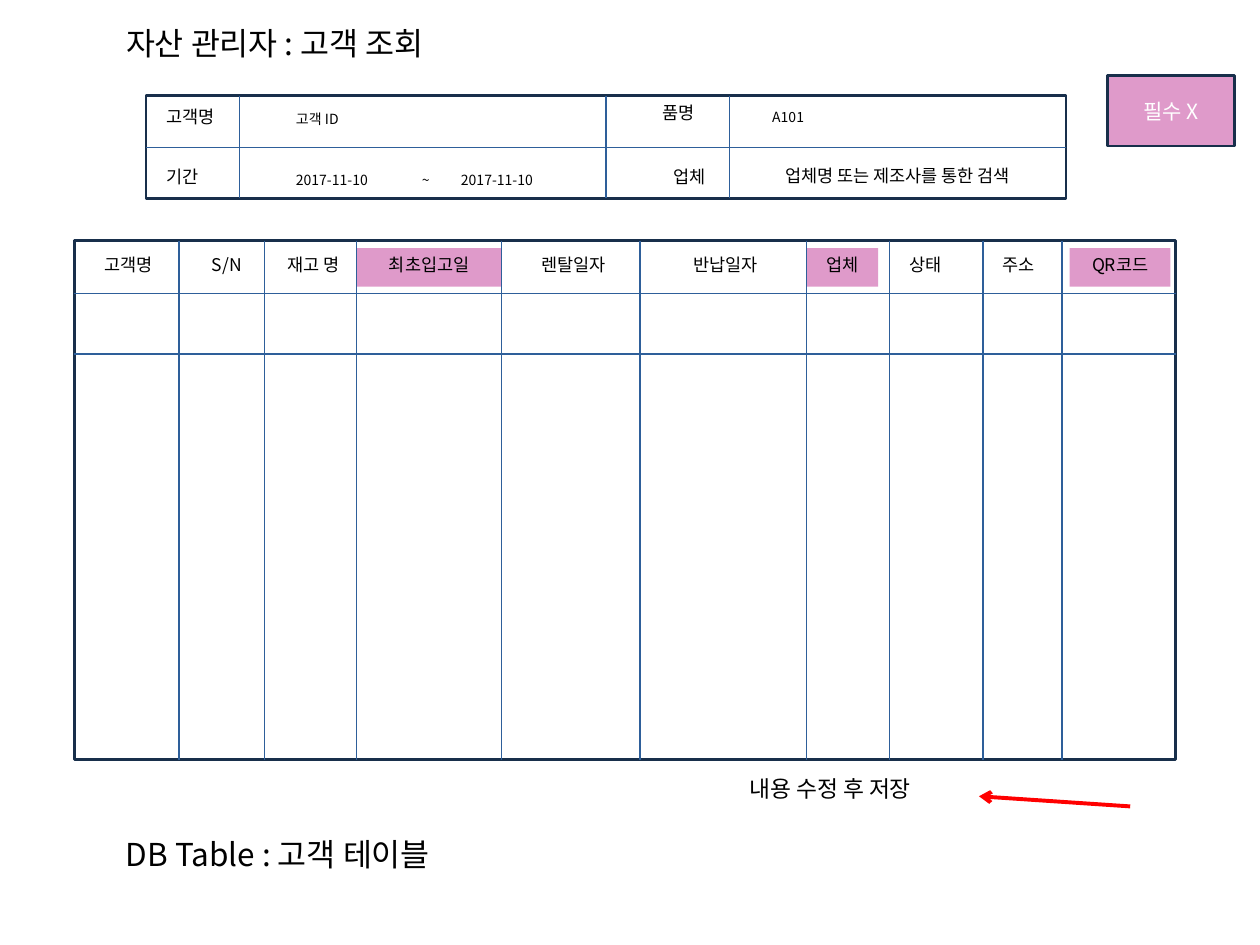
from dataclasses import dataclass

from lxml.etree import SubElement
from pptx import Presentation
from pptx.dml.color import RGBColor as RGB
from pptx.enum.shapes import MSO_CONNECTOR as CONN, MSO_SHAPE as SHAPE
from pptx.enum.text import MSO_ANCHOR as ANCHOR, MSO_AUTO_SIZE as FIT, PP_ALIGN as ALIGN
from pptx.oxml.ns import qn
from pptx.util import Inches, Pt


@dataclass(frozen=True)
class Theme:
    font: str = "Noto Sans CJK KR"
    ink: str = "000000"
    paper: str = "FFFFFF"
    frame: str = "182F4B"
    rule: str = "2E5F9A"
    pink: str = "DF9ACA"
    red: str = "FF0000"
    title: int = 18
    note: int = 13
    badge: int = 12
    label: int = 10
    value: int = 8
    thick: float = 1.5
    thin: float = 1
    arrow: float = 2.25


class Sketch:
    COLS, ROWS = 100, 75

    def __init__(self, prs, theme):
        self.prs, self.theme = prs, theme
        self.s = prs.slides.add_slide(prs.slide_layouts[5])

    def place(self, x, y, *size):
        col = self.prs.slide_width / self.COLS
        row = self.prs.slide_height / self.ROWS
        return [round(v * unit) for v, unit in zip((x, y, *size), (col, row, col, row))]

    def label(self, sp, text, size, align=ALIGN.LEFT, color=None, anchor=ANCHOR.TOP):
        tf = sp.text_frame
        for name, value in {"word_wrap": True, "auto_size": FIT.NONE,
                            "vertical_anchor": anchor}.items():
            setattr(tf, name, value)
        p = tf.paragraphs[0]
        p.alignment = align
        r = p.add_run()
        r.text = text
        for name, value in {"name": self.theme.font, "size": Pt(size)}.items():
            setattr(r.font, name, value)
        r.font.color.rgb = RGB.from_string(color or self.theme.ink)
        SubElement(r._r.rPr, qn("a:ea"), typeface=self.theme.font)

    def title(self, box, text):
        sp = self.s.shapes.title
        for name, value in zip(("left", "top", "width", "height"), self.place(*box)):
            setattr(sp, name, value)
        self.label(sp, text, self.theme.title)

    def text(self, box, text, size, align=ALIGN.LEFT):
        self.label(self.s.shapes.add_textbox(*self.place(*box)), text, size, align)

    def rect(self, box, fill=None, line=None):
        sp = self.s.shapes.add_shape(SHAPE.RECTANGLE, *self.place(*box))
        sp.shadow.inherit = False
        if fill:
            sp.fill.solid()
            sp.fill.fore_color.rgb = RGB.from_string(fill)
        else:
            sp.fill.background()
        if line:
            sp.line.color.rgb = RGB.from_string(line)
            sp.line.width = Pt(self.theme.thick)
        else:
            sp.line.fill.background()
        return sp

    def line(self, start, end, color, width):
        cn = self.s.shapes.add_connector(CONN.STRAIGHT, *self.place(*start), *self.place(*end))
        cn.line.color.rgb = RGB.from_string(color)
        cn.line.width = Pt(width)
        SubElement(cn._element.spPr, qn("a:effectLst"))
        return cn

    def arrow(self, start, end):
        cn = self.line(start, end, self.theme.red, self.theme.arrow)
        SubElement(cn._element.spPr.find(qn("a:ln")), qn("a:tailEnd"), type="arrow")

    def rules(self, box, xs, ys):
        left, top, width, height = box
        ends = [((x, top), (x, top + height)) for x in xs]
        ends += [((left, y), (left + width, y)) for y in ys]
        for start, end in ends:
            self.line(start, end, self.theme.rule, self.theme.thin)

    def header(self, x, width, text, marked):
        box = (x, 19.7, width, 3.05)
        if marked:
            self.label(self.rect(box, fill=self.theme.pink), text, self.theme.label, ALIGN.CENTER)
        else:
            self.text(box, text, self.theme.label, ALIGN.CENTER)


def main():
    prs = Presentation()
    prs.slide_width, prs.slide_height = Inches(10), Inches(7.5)
    t = Theme()
    sk = Sketch(prs, t)
    sk.title((9, 1.4, 91, 4.7), "자산 관리자 : 고객 조회")

    search = (11.6, 7.6, 73, 8.15)
    sk.rect(search, line=t.frame)
    sk.rules(search, (19, 48.1, 57.9), (11.7,))
    for x, y, width, text, size, align in (
        (12.2, 7.9, 8.8, "고객명", t.label, ALIGN.LEFT),
        (22.5, 8.3, 24.8, "고객 ID", t.value, ALIGN.LEFT),
        (51.6, 7.6, 5.7, "품명", t.label, ALIGN.LEFT),
        (60.3, 8.1, 7.5, "A101", t.value, ALIGN.LEFT),
        (12.2, 12.7, 6.8, "기간", t.label, ALIGN.LEFT),
        (22.5, 13.1, 9.6, "2017-11-10", t.value, ALIGN.LEFT),
        (32.5, 13.1, 2.5, "~", t.value, ALIGN.LEFT),
        (35.6, 13.1, 10.1, "2017-11-10", t.value, ALIGN.LEFT),
        (50, 12.7, 9.4, "업체", t.label, ALIGN.CENTER),
        (57.5, 12.6, 27.4, "업체명 또는 제조사를 통한 검색", t.label, ALIGN.CENTER),
    ):
        sk.text((x, y, width, 3), text, size, align)

    results = (5.9, 19.1, 87.4, 41.2)
    sk.rect(results, line=t.frame)
    for x, width, text, marked in (
        (6.2, 8, "고객명", False),
        (14.6, 6.8, "S/N", False),
        (21, 7.7, "재고 명", False),
        (28.3, 11.5, "최초입고일", True),
        (39.8, 11.5, "렌탈일자", False),
        (51.8, 11.5, "반납일자", False),
        (64, 5.7, "업체", True),
        (70.6, 5.7, "상태", False),
        (78, 5.7, "주소", False),
        (84.9, 8, "QR코드", True),
    ):
        sk.header(x, width, text, marked)
    sk.rules(results, (14.2, 21, 28.3, 39.8, 50.8, 64, 70.6, 78, 84.3), (23.3, 28.1))

    sk.text((58.5, 61, 22.7, 3.7), "내용 수정 후 저장", t.note)
    sk.arrow((89.7, 64), (77.7, 63.2))
    sk.text((9, 65.8, 75.2, 4.7), "DB Table : 고객 테이블", t.title)
    badge = sk.rect((87.9, 6, 10.1, 5.6), fill=t.pink, line=t.frame)
    sk.label(badge, "필수 X", t.badge, ALIGN.CENTER, t.paper, ANCHOR.MIDDLE)

    prs.save("out.pptx")


if __name__ == "__main__":
    main()
